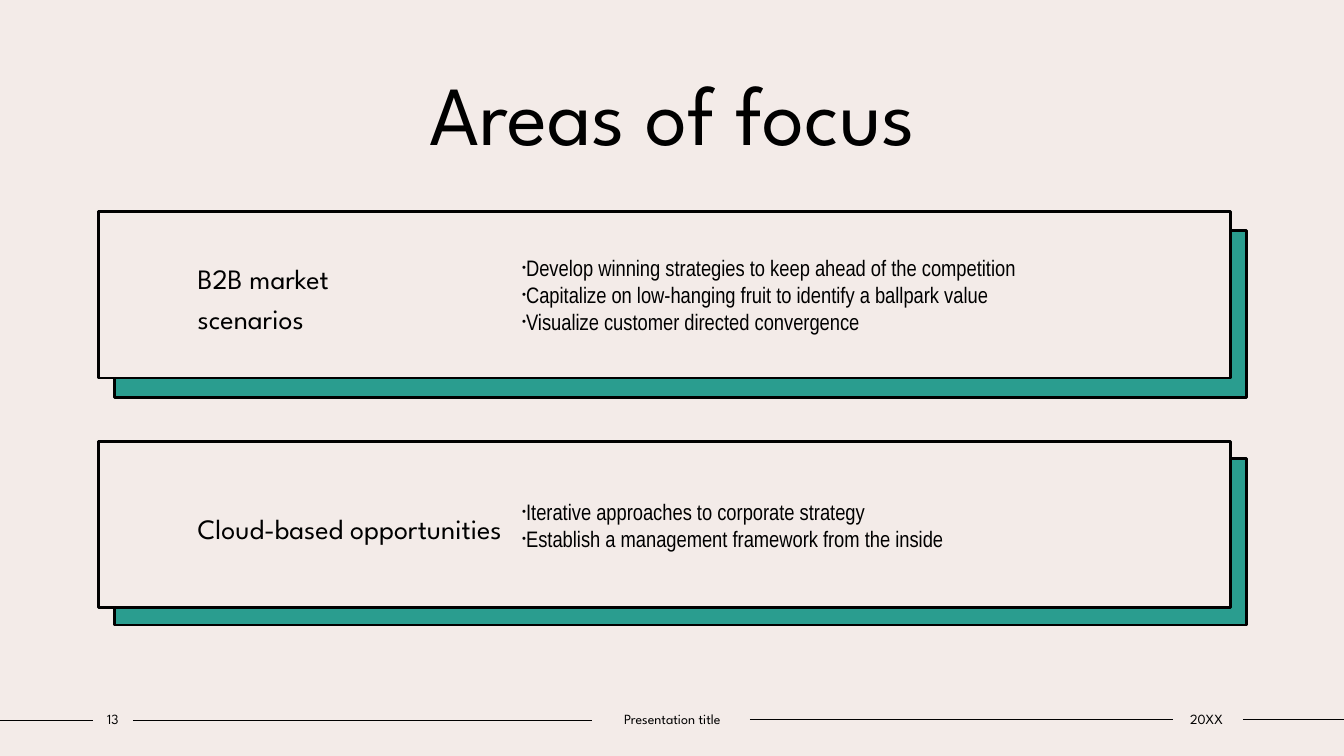
import pptx
import pptx.util
import pptx.dml.color
import pptx.enum.shapes
import pptx.enum.text
import pptx.oxml
import pptx.oxml.ns
from pptx.util import Pt

COLORS = {"paper": "F3EBE8", "ink": "000000", "teal": "2A9D8F"}
HEADING_FONT = "League Spartan"
LIST_FONT = "Arial Narrow"
ALIGN = pptx.enum.text.PP_ALIGN
ANCHOR = pptx.enum.text.MSO_ANCHOR

PANEL_LEFT, PANEL_WIDTH, PANEL_HEIGHT = 70.6, 808.6, 118.8
SHADOW_LEFT = 82.1

# Panel top, shadow top, heading, list items
AREAS = [
    (151.2, 164.9, "B2B market \nscenarios", [
        "Develop winning strategies to keep ahead of the competition",
        "Capitalize on low-hanging fruit to identify a ballpark value",
        "Visualize customer directed convergence",
    ]),
    (315.4, 327.6, "Cloud-based opportunities", [
        "Iterative approaches to corporate strategy",
        "Establish a management framework from the inside",
    ]),
]
# Start, end, height of each footer rule
FOOTER_RULES = [(0, 66.2, 514.8), (95, 422.6, 514.8),
                (535.7, 838.1, 514.1), (887.8, 960, 514.1)]
# Left, width, wording of each footer label
FOOTER_LABELS = [(66.2, 28.8, "13"), (422.6, 115.2, "Presentation title"),
                 (836.6, 50.4, "20XX")]


def color(name):
    return pptx.dml.color.RGBColor.from_string(COLORS[name])


def place(shape, left, top, width, height):
    shape.left, shape.top = Pt(left), Pt(top)
    shape.width, shape.height = Pt(width), Pt(height)


def paint(shape, fill):
    shape.fill.solid()
    shape.fill.fore_color.rgb = color(fill)
    shape.line.color.rgb = color("ink")
    shape.line.width = Pt(2)


def write(shape, text, size, font, align=ALIGN.LEFT, spacing=1.0,
          anchor=ANCHOR.MIDDLE, insets=(7.2, 3.6, 7.2, 3.6)):
    frame = shape.text_frame
    frame.text = text
    frame.word_wrap = True
    frame.auto_size = pptx.enum.text.MSO_AUTO_SIZE.NONE
    frame.vertical_anchor = anchor
    frame.margin_left, frame.margin_top, frame.margin_right, frame.margin_bottom = map(Pt, insets)
    for para in frame.paragraphs:
        para.alignment = align
        para.line_spacing = spacing
        para.space_before = Pt(0)
        for span in para.runs:
            span.font.size = Pt(size)
            span.font.name = font
            span.font.bold = False
            span.font.color.rgb = color("ink")


def add_bullet(para):
    properties = para._p.get_or_add_pPr()
    properties.set("marL", "0")
    properties.set("indent", str(Pt(-10.8)))
    for tag, name, value in (("a:buSzPct", "val", "50000"),
                             ("a:buFont", "typeface", "Arial"),
                             ("a:buChar", "char", "•")):
        bullet = pptx.oxml.parse_xml(f"<{tag} {pptx.oxml.ns.nsdecls('a')}/>")
        bullet.set(name, value)
        properties.append(bullet)


def add_panel_shadow(page, top):
    shadow = page.shapes.add_shape(
        pptx.enum.shapes.MSO_SHAPE.RECTANGLE,
        Pt(SHADOW_LEFT), Pt(top), Pt(PANEL_WIDTH), Pt(PANEL_HEIGHT))
    shadow.shadow.inherit = False
    paint(shadow, "teal")
    # Send behind the placeholders
    page.shapes._spTree.insert(2, shadow._element)


def fill_panel(panel, top, heading):
    place(panel, PANEL_LEFT, top, PANEL_WIDTH, PANEL_HEIGHT)
    paint(panel, "paper")
    write(panel, heading, 20, HEADING_FONT, spacing=1.2,
          insets=(70.6, 3.6, 511.2, 3.6))


def fill_list(box, panel_top, items):
    place(box, 365.8, panel_top + 7.2, 504.7, PANEL_HEIGHT - 14.4)
    write(box, "\n".join(items), 16, LIST_FONT)
    for para in box.text_frame.paragraphs:
        add_bullet(para)


def add_rule(page, start, end, y):
    rule = page.shapes.add_connector(
        pptx.enum.shapes.MSO_CONNECTOR.STRAIGHT, Pt(start), Pt(y), Pt(end), Pt(y))
    rule.line.color.rgb = color("ink")
    rule.line.width = Pt(1)
    rule._element.spPr.append(
        pptx.oxml.parse_xml(f"<a:effectLst {pptx.oxml.ns.nsdecls('a')}/>"))


def add_label(page, left, width, text):
    box = page.shapes.add_textbox(Pt(left), Pt(504), Pt(width), Pt(19.4))
    write(box, text, 10, HEADING_FONT, ALIGN.CENTER, insets=(0, 3.6, 0, 3.6))


def main():
    deck = pptx.Presentation()
    deck.slide_width, deck.slide_height = Pt(960), Pt(540)
    # The comparison layout holds a title and two heading and list pairs
    page = deck.slides.add_slide(deck.slide_layouts[4])
    page.background.fill.solid()
    page.background.fill.fore_color.rgb = color("paper")

    # Title
    title, *bodies = page.placeholders
    place(title, 90, 40.3, 780.5, 79.9)
    write(title, "Areas of focus", 60, HEADING_FONT, ALIGN.CENTER, anchor=ANCHOR.TOP)

    # Areas
    for area, panel, box in zip(AREAS, bodies[::2], bodies[1::2]):
        panel_top, shadow_top, heading, items = area
        add_panel_shadow(page, shadow_top)
        fill_panel(panel, panel_top, heading)
        fill_list(box, panel_top, items)

    # Footer
    for start, end, y in FOOTER_RULES:
        add_rule(page, start, end, y)
    for left, width, text in FOOTER_LABELS:
        add_label(page, left, width, text)

    deck.save("out.pptx")


if __name__ == "__main__":
    main()
